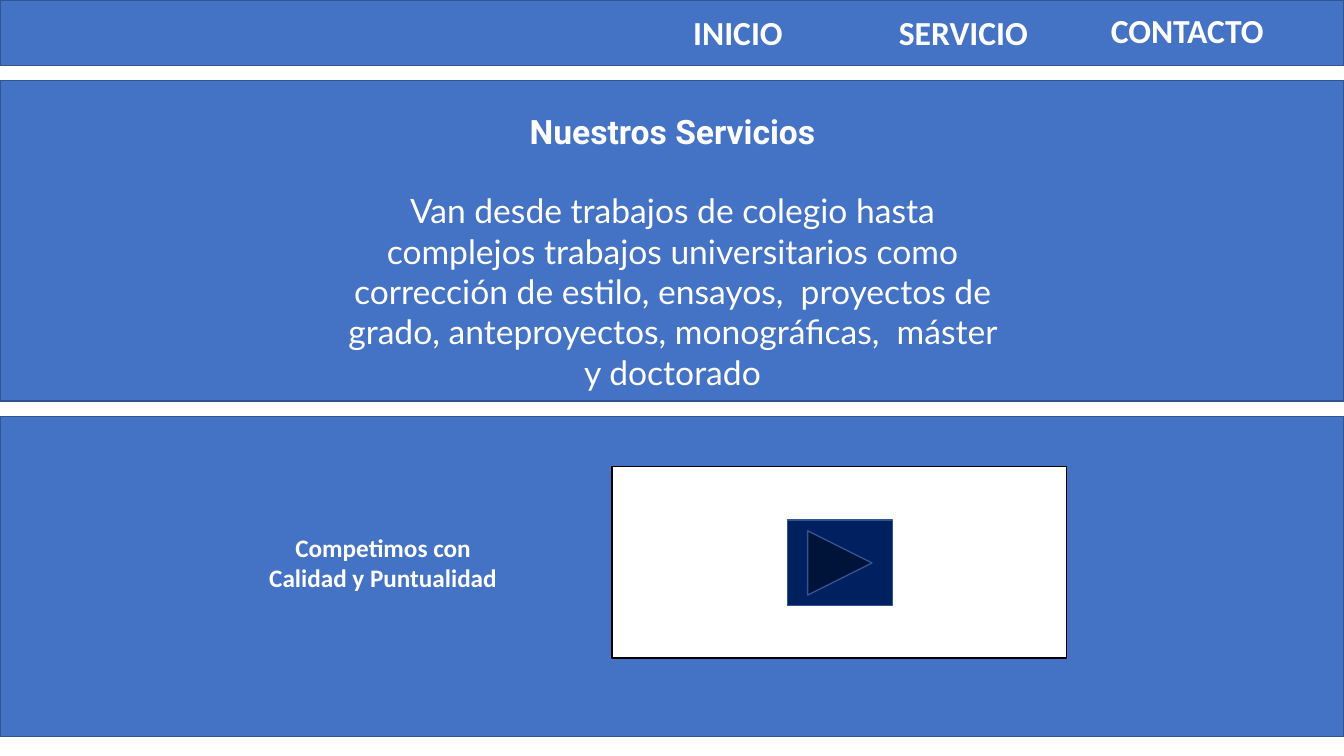
from pptx import Presentation
from pptx.dml.color import RGBColor
from pptx.enum import shapes, text
from pptx.util import Inches, Pt

COLORS = {
    "band": "4472C4",
    "outline": "325491",
    "white": "FFFFFF",
    "black": "000000",
    "button": "002060",
}

prs = Presentation()
prs.slide_width = Inches(13.33)
prs.slide_height = Inches(7.5)
slide = prs.slides.add_slide(prs.slide_layouts[6])


def add_box(preset, left, top, width, height, fill, line):
    box = slide.shapes.add_shape(
        preset, Inches(left), Inches(top), Inches(width), Inches(height))
    box.shadow.inherit = False
    box.fill.solid()
    box.fill.fore_color.rgb = RGBColor.from_string(COLORS[fill])
    box.line.color.rgb = RGBColor.from_string(COLORS[line])
    box.line.width = Pt(1)


def add_text(left, top, width, height, paragraphs):
    frame = slide.shapes.add_textbox(
        Inches(left), Inches(top), Inches(width), Inches(height)).text_frame
    frame.word_wrap = True
    frame.auto_size = text.MSO_AUTO_SIZE.SHAPE_TO_FIT_TEXT
    for i, (wording, font, size, bold, gap) in enumerate(paragraphs):
        paragraph = frame.add_paragraph() if i else frame.paragraphs[0]
        paragraph.text = wording
        paragraph.alignment = text.PP_ALIGN.CENTER
        paragraph.space_after = Pt(gap)
        paragraph.font.name = font
        paragraph.font.size = Pt(size)
        paragraph.font.bold = bold
        paragraph.font.color.rgb = RGBColor.from_string(COLORS["white"])


rectangle = shapes.MSO_SHAPE.RECTANGLE

# Full-width bands
for top, height in [(0, 0.65), (0.8, 3.18), (4.13, 3.18)]:
    add_box(rectangle, 0, top, 13.33, height, "band", "outline")

# Navigation
for label, left, top, width in [
    ("INICIO", 6.67, 0.07, 1.3),
    ("SERVICIO", 8.72, 0.07, 1.67),
    ("CONTACTO", 10.76, 0.05, 2.03),
]:
    add_text(left, top, width, 0.5, [(label, "Calibri", 24, True, 0)])

# Services
services = (
    "Van desde trabajos de colegio hasta complejos trabajos universitarios "
    "como corrección de estilo, ensayos,  proyectos de grado, "
    "anteproyectos, monográficas,  máster y doctorado"
)
add_text(3.33, 1.05, 6.68, 2.93, [
    ("Nuestros Servicios", "Roboto", 24, True, 28),
    (services, "Lato", 24, False, 0),
])

# Slogan
add_text(0.46, 5.23, 6.68, 0.71, [
    ("Competimos con\nCalidad y Puntualidad", "Calibri", 18, True, 0),
])

# Video panel with play button
add_box(rectangle, 6.07, 4.63, 4.51, 1.9, "white", "black")
add_box(shapes.MSO_SHAPE.ACTION_BUTTON_FORWARD_OR_NEXT,
        7.81, 5.16, 1.04, 0.85, "button", "outline")

prs.save("out.pptx")
